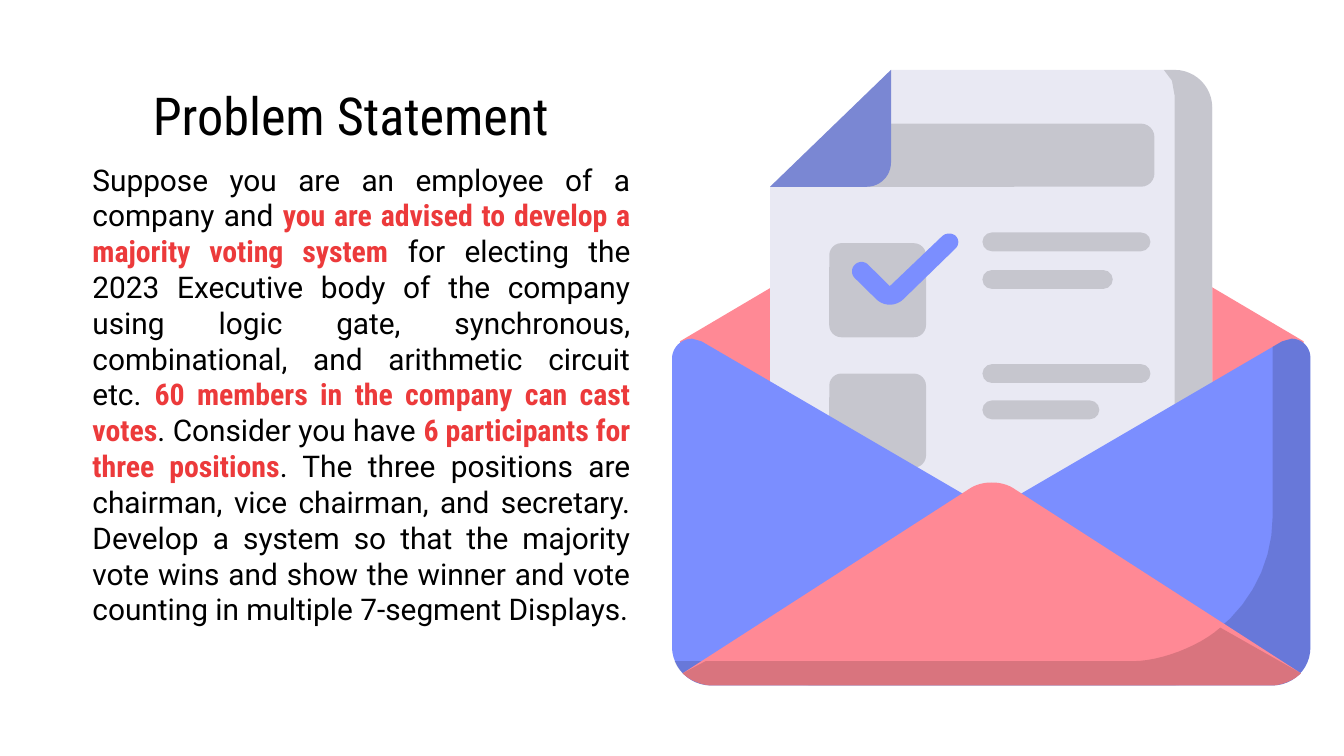
from lxml.etree import SubElement
from pptx import Presentation
from pptx.dml.color import RGBColor
from pptx.enum.shapes import MSO_SHAPE
from pptx.enum.text import MSO_AUTO_SIZE, MSO_ANCHOR, PP_ALIGN
from pptx.oxml.ns import qn
from pptx.util import Inches, Pt

deck = Presentation()
deck.slide_width, deck.slide_height = Inches(10), Inches(5.625)
slide = deck.slides.add_slide(deck.slide_layouts[6])
CELL = deck.slide_width / 100  # the grid has 100 columns; rows are as tall

PINK, BLUE, PAPER, FOLD, SHADE = "FF8995", "7B8EFF", "E9E9F3", "7A87D3", "000000"


def paint(shape, hue):
    """Fill a shape without outline; shade is black at 15 %."""
    shape.shadow.inherit = False
    shape.line.fill.background()
    shape.fill.solid()
    shape.fill.fore_color.rgb = RGBColor.from_string(hue)
    if hue == SHADE:
        tint = shape.fill._xPr.find(qn("a:solidFill"))[0]
        SubElement(tint, qn("a:alpha"), val="15000")


def trace(marks):
    """Turn corners (x, y) or (x, y, cut) into points, rounding the cut ones."""
    dots = []
    for i, (x, y, *cut) in enumerate(marks):
        if not cut:
            dots.append((x * CELL, y * CELL))
            continue
        ends = []
        for px, py, *_ in (marks[i - 1], marks[(i + 1) % len(marks)]):
            dx, dy = px - x, py - y
            part = cut[0] / (dx * dx + dy * dy) ** 0.5
            ends.append((dx * part, dy * part))
        (ax, ay), (bx, by) = ends
        for step in range(13):
            t = step / 12
            u = 1 - t
            a, b = u ** 3 + 1.35 * u * u * t, t ** 3 + 1.35 * u * t * t
            dots.append(((x + a * ax + b * bx) * CELL, (y + a * ay + b * by) * CELL))
    return dots


# Artwork from back to front: a list is an outline, a tuple is a rounded
# bar given as left, top, width, height, radius
parts = [
    # Back of the envelope
    ([(73.8, 11.7), (50.6, 25.4), (50.8, 42.4), (97, 42.4), (97, 25.4)], PINK),
    # Ballot paper and its right edge
    ([(66.3, 5.2), (57.3, 13.9), (57.3, 51, 2.9), (90.2, 51, 2.9), (90.2, 5.2, 2.8)], PAPER),
    ([(86.6, 5.2), (87.2, 6), (87.4, 7.1), (87.4, 50.1, 2.9), (58.1, 50.1),
      (60.2, 51), (90.2, 51, 2.9), (90.2, 5.2, 2.8)], SHADE),
    # Lower box
    ((61.7, 27.8, 7.2, 7, 0.9), SHADE),
    # Envelope sides and their shade
    ([(50, 25.2, 1.5), (51.5, 25.2), (52.2, 25.4), (73.8, 38, 1.7), (95.4, 25.4),
      (96.1, 25.2), (97.5, 25.2, 1.4), (97.5, 51, 2.8), (50, 51, 2.9)], BLUE),
    ([(96.1, 25.2), (95.4, 25.4), (94.7, 25.8), (94.7, 49.2, 10.8), (50.2, 49.2),
      (50.9, 51, 1.9), (97.5, 51, 2.8), (97.5, 25.2, 1.4)], SHADE),
    # Front flap and its shade
    ([(73.8, 35.3, 1.9), (50.8, 50.1), (51.7, 51, 1.2), (95.9, 51, 1.2), (96.8, 50.1)], PINK),
    ([(90.8, 46.7), (88, 49.2, 3.7), (52.5, 49.2), (50.8, 50.1), (51.7, 51, 1.2),
      (95.9, 51, 1.2), (96.8, 50.1)], SHADE),
    # Upper box with its tick
    ((61.7, 18.1, 7.2, 7, 0.9), SHADE),
    ([(70.6, 17.1, 0.7), (66.2, 21.3), (64.1, 19.2, 0.7), (63.1, 20.2, 0.7),
      (66.2, 23.25, 1.4), (71.6, 18, 0.7)], BLUE),
    # Heading bar and lines of writing
    ((63.5, 9.2, 22.4, 4.7, 1), SHADE),
    *[((73.1, top, wide, 1.4, 0.7), SHADE)
      for top, wide in ((17.3, 12.5), (20.1, 9.7), (27.1, 12.5), (29.8, 8.7))],
    # Folded corner
    ([(66.3, 5.2), (57.3, 13.9), (66.3, 13.9, 1.8)], FOLD),
]
art = slide.shapes.add_group_shape().shapes
for form, hue in parts:
    if isinstance(form, tuple):
        *box, curve = form
        shape = art.add_shape(MSO_SHAPE.ROUNDED_RECTANGLE, *[int(v * CELL) for v in box])
        shape.adjustments[0] = curve / min(box[2:])
    else:
        first, *rest = trace(form)
        pen = art.build_freeform(*first)
        pen.add_line_segments(rest, close=True)
        shape = pen.convert_to_shape()
    paint(shape, hue)

# Title and body text
head = {"name": "Roboto Condensed", "size": Pt(28), "bold": False}
plain = {"name": "Roboto", "size": Pt(16), "bold": False}
strong = {"name": "Roboto Condensed", "size": Pt(16), "bold": True}
texts = [
    ((10.1, 5.2, 32, 5.3), PP_ALIGN.CENTER, MSO_AUTO_SIZE.NONE,
     [("Problem Statement", head)]),
    ((5.9, 11, 42, 37), PP_ALIGN.JUSTIFY, MSO_AUTO_SIZE.SHAPE_TO_FIT_TEXT, [
        ("Suppose you are an employee of a company and ", plain),
        ("you are advised to develop a majority voting system", strong),
        (" for electing the 2023 Executive body of the company using logic gate, "
         "synchronous, combinational, and arithmetic circuit etc. ", plain),
        ("60 members in the company can cast votes", strong),
        (". Consider you have ", plain),
        ("6 participants for three positions", strong),
        (". The three positions are chairman, vice chairman, and secretary. "
         "Develop a system so that the majority vote wins and show the winner "
         "and vote counting in multiple 7-segment Displays.", plain),
    ]),
]
for box, align, fit, runs in texts:
    frame = slide.shapes.add_textbox(*[int(v * CELL) for v in box]).text_frame
    look = {"word_wrap": True, "auto_size": fit, "vertical_anchor": MSO_ANCHOR.TOP}
    look.update({"margin_" + side: Inches(0.1) for side in ("left", "top", "right", "bottom")})
    for key, value in look.items():
        setattr(frame, key, value)
    para = frame.paragraphs[0]
    para.alignment = align
    for words, style in runs:
        run = para.add_run()
        run.text = words
        for key, value in style.items():
            setattr(run.font, key, value)
        run.font.color.rgb = RGBColor.from_string("EC3A3B" if style["bold"] else "000000")

deck.save("out.pptx")
